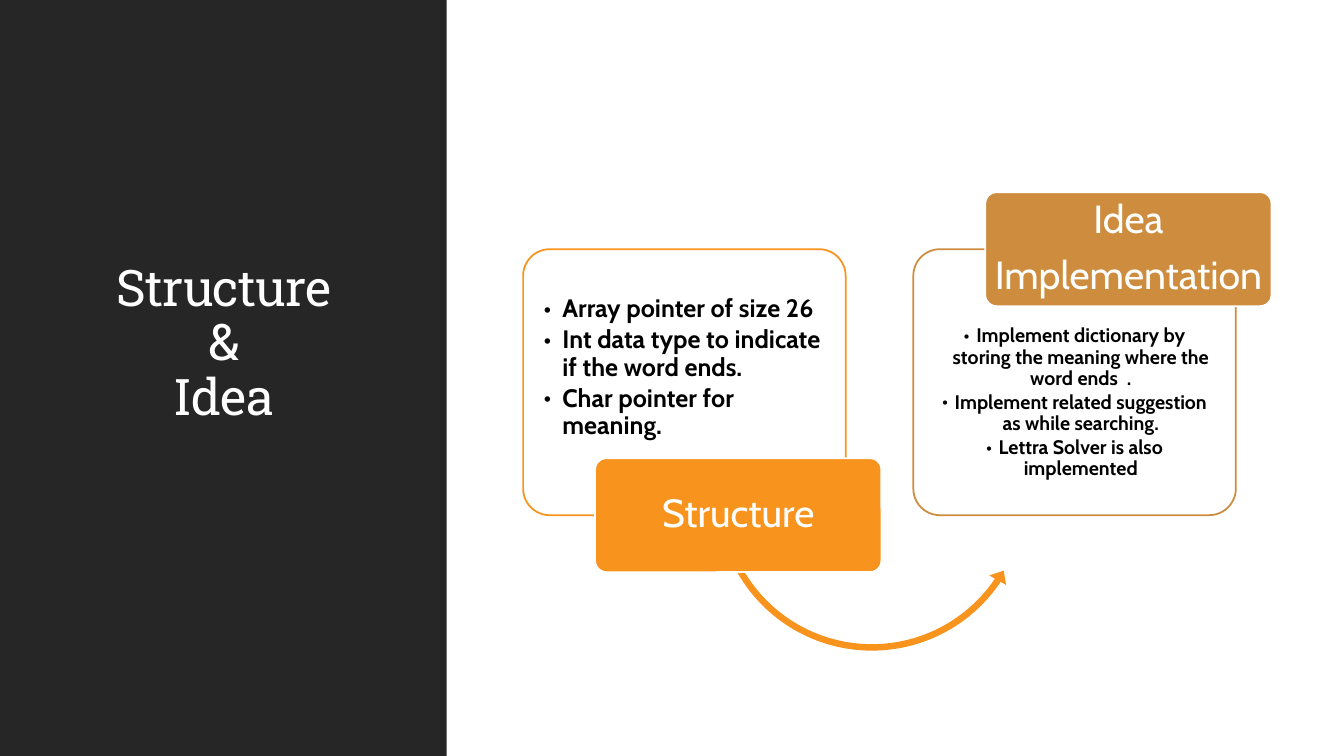
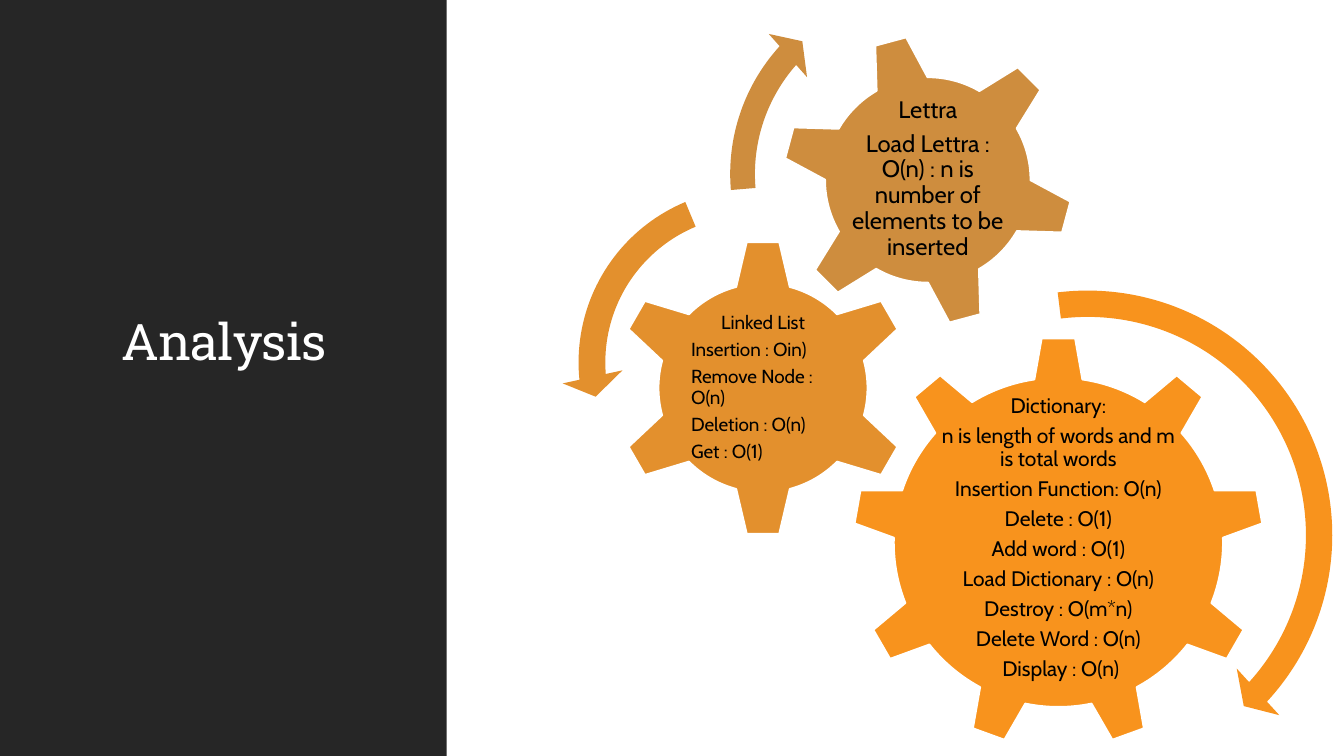
"""Build two slides on a dictionary's structure, idea and complexity analysis."""
from lxml import etree
from pptx import Presentation
from pptx.dml.color import RGBColor
from pptx.enum import shapes, text
from pptx.oxml.ns import qn
from pptx.util import Pt

DARK, WHITE, BLACK = "262626", "FFFFFF", "000000"
ORANGE, AMBER, BRONZE = "F8931D", "E3902D", "CE8D3E"
TITLE_FONT, BODY_FONT = "Roboto Slab", "Cabin"
PRESET = shapes.MSO_SHAPE
CENTER, LEFT = text.PP_ALIGN.CENTER, text.PP_ALIGN.LEFT
TOP, MIDDLE = text.MSO_ANCHOR.TOP, text.MSO_ANCHOR.MIDDLE

PANEL = (0, 0, 319, 540)
TITLE_AREA = (38.5, 38.5, 243, 415)

CARD_LEFT, CARD_TOP, CARD_STEP = 373.7, 178, 278.7
CARD_WIDTH, CARD_HEIGHT = 230.4, 190
LABEL_WIDTH, LABEL_HEIGHT, LABEL_SHIFT = 204.5, 81.4, 51.4
CARDS = [
    {"label": ["Structure"], "color": ORANGE, "label_edge": CARD_HEIGHT,
     "size": 18, "indent": 13.5, "align": LEFT, "text_top": 28,
     "points": ["Array pointer of size 26",
                "Int data type to indicate if the word ends.",
                "Char pointer for meaning."]},
    {"label": ["Idea", "Implementation"], "color": BRONZE, "label_edge": 0,
     "size": 14, "indent": 9, "align": CENTER, "text_top": 49.3,
     "points": ["Implement dictionary by storing the meaning where the word ends  .",
                "Implement related suggestion as while searching.",
                "Lettra Solver is also implemented"]},
]
CARD_ARROW = {"kind": PRESET.LEFT_CIRCULAR_ARROW, "area": (507.6, 239, 230.4),
              "adjust": (0.02, 2.56, 20.31, 90.25, 0.03)}

GEARS = [
    {"kind": PRESET.GEAR_9, "color": ORANGE, "area": (609.1, 240.5, 293.8),
     "turn": 0, "text_area": (175.7, 151.2), "lift": 3, "size": 15, "align": CENTER,
     "lines": ["Dictionary:", "n is length of words and m is total words",
               "Insertion Function: O(n)", "Delete : O(1)", "Add word : O(1)",
               "Load Dictionary : O(n)", "Destroy : O(m*n)",
               "Delete Word : O(n)", " Display : O(n)"],
     "arrow": {"kind": PRESET.CIRCULAR_ARROW, "area": (589, 194.4, 375.8),
               "adjust": (0.05, 2.99, 25.56, 157.78, 0.06)}},
    {"kind": PRESET.GEAR_6, "color": AMBER, "area": (438.5, 170.6, 213.1),
     "turn": 0, "text_area": (105.8, 105.1), "lift": 0, "size": 13.5, "align": LEFT,
     "lines": ["Linked List", "Insertion : Oin)", "Remove Node : O(n)",
               "Deletion : O(n)", "Get : O(1)"],
     "arrow": {"kind": PRESET.LEFT_CIRCULAR_ARROW, "area": (401, 122.4, 272.9),
               "adjust": (0.07, 4.3, 104.89, 148.38, 0.08)}},
    {"kind": PRESET.GEAR_6, "color": BRONZE, "area": (558, 23.8, 209.5),
     "turn": 345, "text_area": (117.4, 117.4), "lift": 0.7, "size": 17, "align": CENTER,
     "lines": ["Lettra",
               "Load Lettra : O(n) : n is number of elements to be inserted"],
     "arrow": {"kind": PRESET.CIRCULAR_ARROW, "area": (509.8, -23, 294.5),
               "adjust": (0.06, 3.94, 133.14, 105.08, 0.07)}},
]


def rgb(value):
    """Turn a hex string into a colour."""
    return RGBColor.from_string(value)


def add_shape(page, kind, area, fill, line=None, adjust=()):
    """Add a flat preset shape."""
    shape = page.shapes.add_shape(kind, *map(Pt, area))
    shape.shadow.inherit = False
    shape.fill.solid()
    shape.fill.fore_color.rgb = rgb(fill)
    if line:
        shape.line.color.rgb = rgb(line)
        shape.line.width = Pt(1.25)
    else:
        shape.line.fill.background()
    for index, value in enumerate(adjust):
        shape.adjustments[index] = value
    return shape


def add_bullet(para, indent):
    """Give a paragraph a hanging bullet."""
    props = para._p.get_or_add_pPr()
    props.set("marL", str(int(Pt(indent))))
    props.set("indent", str(-int(Pt(indent))))
    etree.SubElement(props, qn("a:buFont")).set("typeface", BODY_FONT)
    etree.SubElement(props, qn("a:buChar")).set("char", "•")


def write(box, lines, *, size, color=BLACK, font=BODY_FONT, bold=False,
          align=CENTER, first_align=None, anchor=MIDDLE, insets=(1.5, 1.5, 1.5, 1.5),
          after=0.35, indent=0, spacing=0):
    """Write lines as paragraphs; insets run left, top, right, bottom."""
    frame = box.text_frame
    frame.word_wrap = True
    frame.vertical_anchor = anchor
    (frame.margin_left, frame.margin_top,
     frame.margin_right, frame.margin_bottom) = map(Pt, insets)
    for index, line in enumerate(lines):
        para = frame.add_paragraph() if index else frame.paragraphs[0]
        para.text = line
        para.alignment = align if index else first_align or align
        para.line_spacing = 0.9
        para.space_after = Pt(round(after * size, 1))
        if indent:
            add_bullet(para, indent)
        for span in para.runs:
            span.font.name, span.font.size, span.font.bold = font, Pt(size), bold
            span.font.color.rgb = rgb(color)
            if spacing:
                span._r.get_or_add_rPr().set("spc", str(int(spacing * 100)))


def add_page(deck, title):
    """Add a page with the dark title panel."""
    page = deck.slides.add_slide(deck.slide_layouts[6])
    add_shape(page, PRESET.RECTANGLE, PANEL, DARK)
    write(page.shapes.add_textbox(*map(Pt, TITLE_AREA)), [title], size=36,
          color=WHITE, font=TITLE_FONT, insets=(7.2, 3.6, 7.2, 3.6),
          after=0, spacing=-0.5)
    return page


def add_arrow(page, arrow, color):
    """Add a curved arrow in a square area."""
    left, top, side = arrow["area"]
    add_shape(page, arrow["kind"], (left, top, side, side), color,
              adjust=arrow["adjust"])


def add_card(page, left, card):
    """Add a bulleted card."""
    box = add_shape(page, PRESET.ROUNDED_RECTANGLE,
                    (left, CARD_TOP, CARD_WIDTH, CARD_HEIGHT),
                    WHITE, card["color"], [0.1])
    write(box, card["points"], size=card["size"], bold=True, align=card["align"],
          anchor=TOP, insets=(9, card["text_top"], 9, 9), after=0.15,
          indent=card["indent"])


def add_label(page, left, card):
    """Add a label centred on the card's top or bottom edge."""
    top = CARD_TOP + card["label_edge"] - LABEL_HEIGHT / 2
    box = add_shape(page, PRESET.ROUNDED_RECTANGLE,
                    (left + LABEL_SHIFT, top, LABEL_WIDTH, LABEL_HEIGHT),
                    card["color"], WHITE, [0.1])
    write(box, card["label"], size=28, color=WHITE, insets=(4, 3, 4, 3))


def add_gear(page, gear):
    """Add a gear with upright text at its centre."""
    left, top, side = gear["area"]
    shape = add_shape(page, gear["kind"], (left, top, side, side),
                      gear["color"], WHITE)
    shape.rotation = gear["turn"]
    width, height = gear["text_area"]
    area = (left + (side - width) / 2,
            top + (side - height) / 2 - gear["lift"], width, height)
    write(page.shapes.add_textbox(*map(Pt, area)), gear["lines"],
          size=gear["size"], align=gear["align"], first_align=CENTER)


def main():
    """Build and save the deck."""
    deck = Presentation()
    deck.slide_width, deck.slide_height = Pt(960), Pt(540)

    page = add_page(deck, "Structure\v&\vIdea")
    for index, card in enumerate(CARDS):
        left = CARD_LEFT + index * CARD_STEP
        add_card(page, left, card)
        if index == 0:
            add_arrow(page, CARD_ARROW, card["color"])
        add_label(page, left, card)

    page = add_page(deck, "Analysis")
    for gear in GEARS:
        add_gear(page, gear)
    for gear in GEARS:
        add_arrow(page, gear["arrow"], gear["color"])

    deck.save("out.pptx")


if __name__ == "__main__":
    main()
